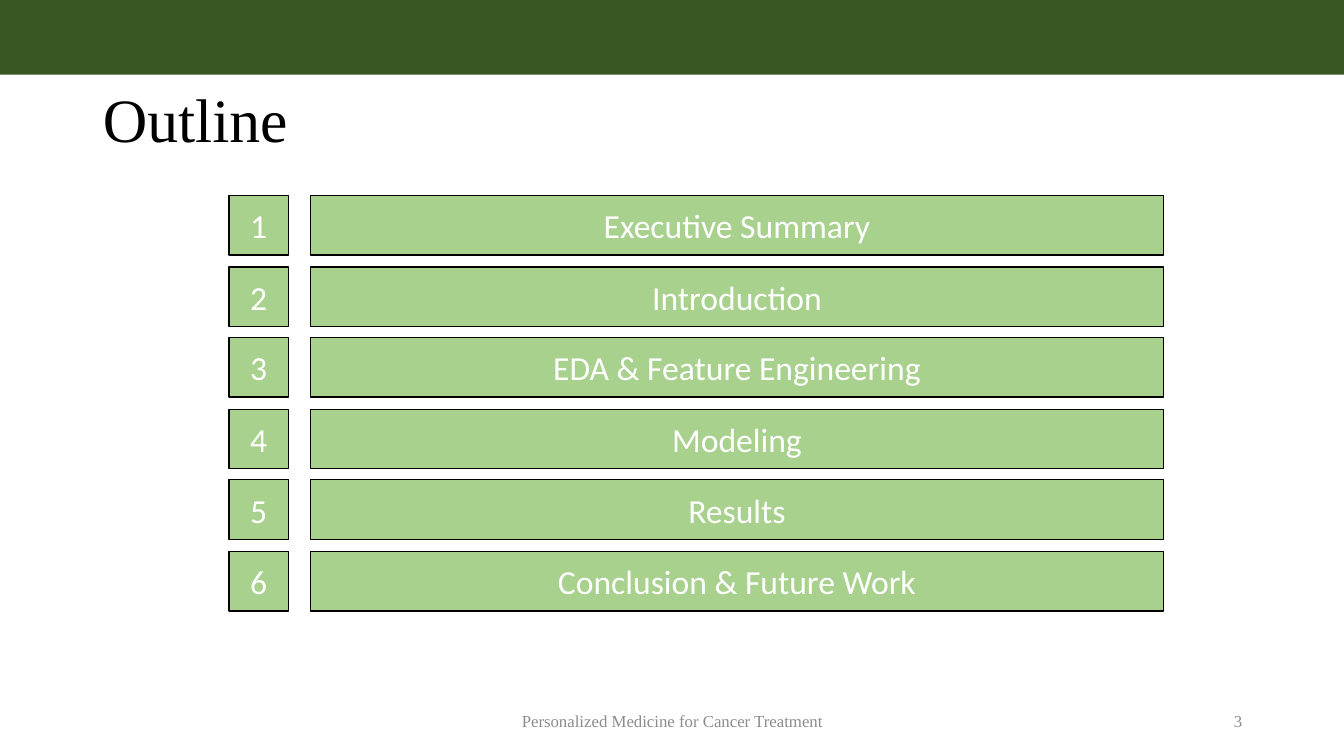
from pptx import Presentation
from pptx import util as u
from pptx.dml.color import RGBColor
from pptx.enum import shapes, text

PX = 9144  # EMU per px, 100 px to the inch
DARK_GREEN = RGBColor(0x38, 0x57, 0x23)
LIGHT_GREEN = RGBColor(0xA9, 0xD1, 0x8E)
BLACK = RGBColor(0, 0, 0)
WHITE = RGBColor(0xFF, 0xFF, 0xFF)
GRAY = RGBColor(0x8C, 0x8C, 0x8C)
SERIF, SANS = "Times New Roman", "Calibri"


def write(box, words, size, font, color, align):
    frame = box.text_frame
    frame.text = words
    frame.word_wrap = True
    frame.auto_size = text.MSO_AUTO_SIZE.NONE
    frame.vertical_anchor = text.MSO_ANCHOR.MIDDLE
    para = frame.paragraphs[0]
    para.alignment = align
    span = para.runs[0]
    span.font.size = u.Pt(size)
    span.font.name = font
    span.font.color.rgb = color


def add_bar(left, top, width, height, color):
    bar = page.shapes.add_shape(shapes.MSO_SHAPE.RECTANGLE,
                                left * PX, top * PX, width * PX, height * PX)
    bar.shadow.inherit = False
    bar.fill.solid()
    bar.fill.fore_color.rgb = color
    return bar


deck = Presentation()
deck.slide_width, deck.slide_height = 1333 * PX, 750 * PX
page = deck.slides.add_slide(deck.slide_layouts[5])

# Title
title = page.shapes.title
title.left, title.top, title.width, title.height = 92 * PX, 76 * PX, 1150 * PX, 92 * PX
write(title, "Outline", 44, SERIF, BLACK, text.PP_ALIGN.LEFT)
title.text_frame.paragraphs[0].line_spacing = 0.9

# Top band
band = add_bar(0, 0, 1333, 74, DARK_GREEN)
band.line.fill.background()

# Numbered sections
sections = ["Executive Summary", "Introduction", "EDA & Feature Engineering",
            "Modeling", "Results", "Conclusion & Future Work"]
for index, section in enumerate(sections):
    top = round(194 + 70.6 * index)
    for left, width, words in ((227, 59, str(index + 1)), (308, 846, section)):
        bar = add_bar(left, top, width, 59, LIGHT_GREEN)
        bar.line.color.rgb = BLACK
        bar.line.width = u.Pt(1)
        write(bar, words, 24, SANS, WHITE, text.PP_ALIGN.CENTER)

# Footer and page number
for left, width, words, align in (
        (442, 450, "Personalized Medicine for Cancer Treatment", text.PP_ALIGN.CENTER),
        (942, 300, "3", text.PP_ALIGN.RIGHT)):
    box = page.shapes.add_textbox(left * PX, 695 * PX, width * PX, 40 * PX)
    write(box, words, 12, SERIF, GRAY, align)

deck.save("out.pptx")
